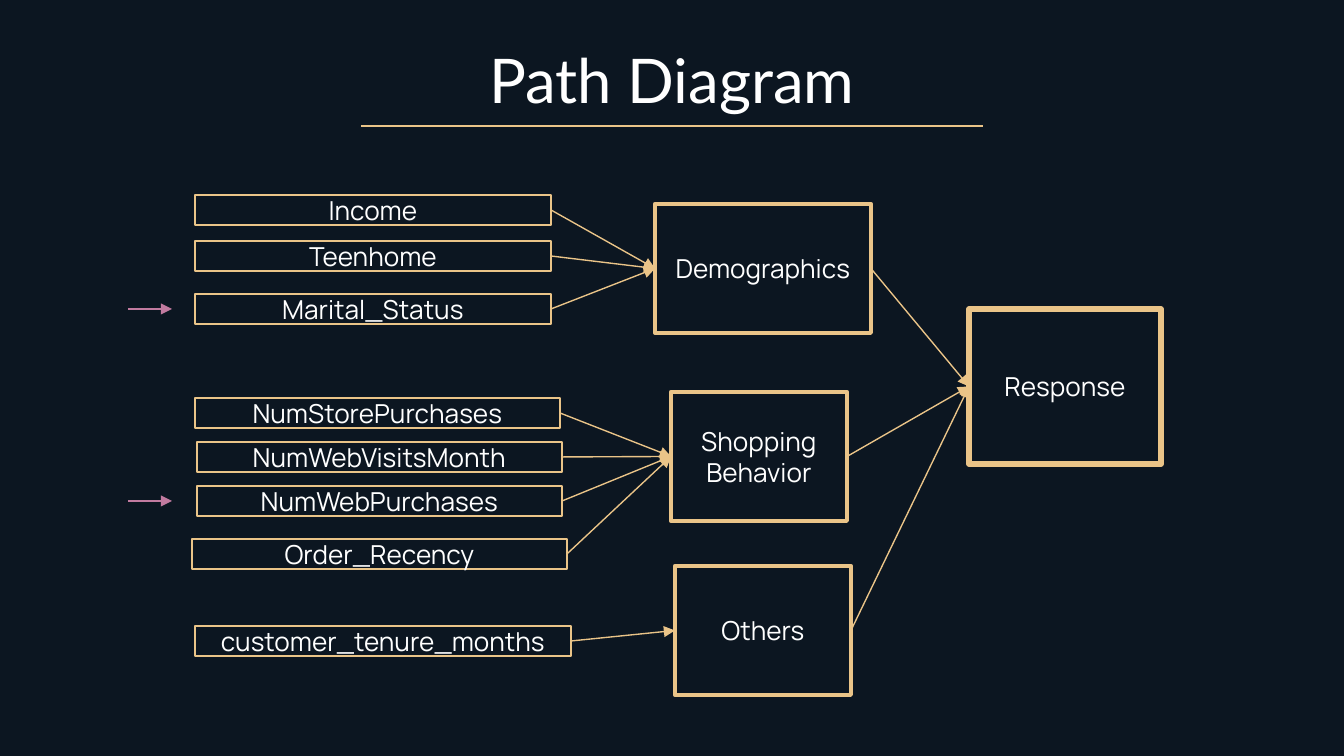
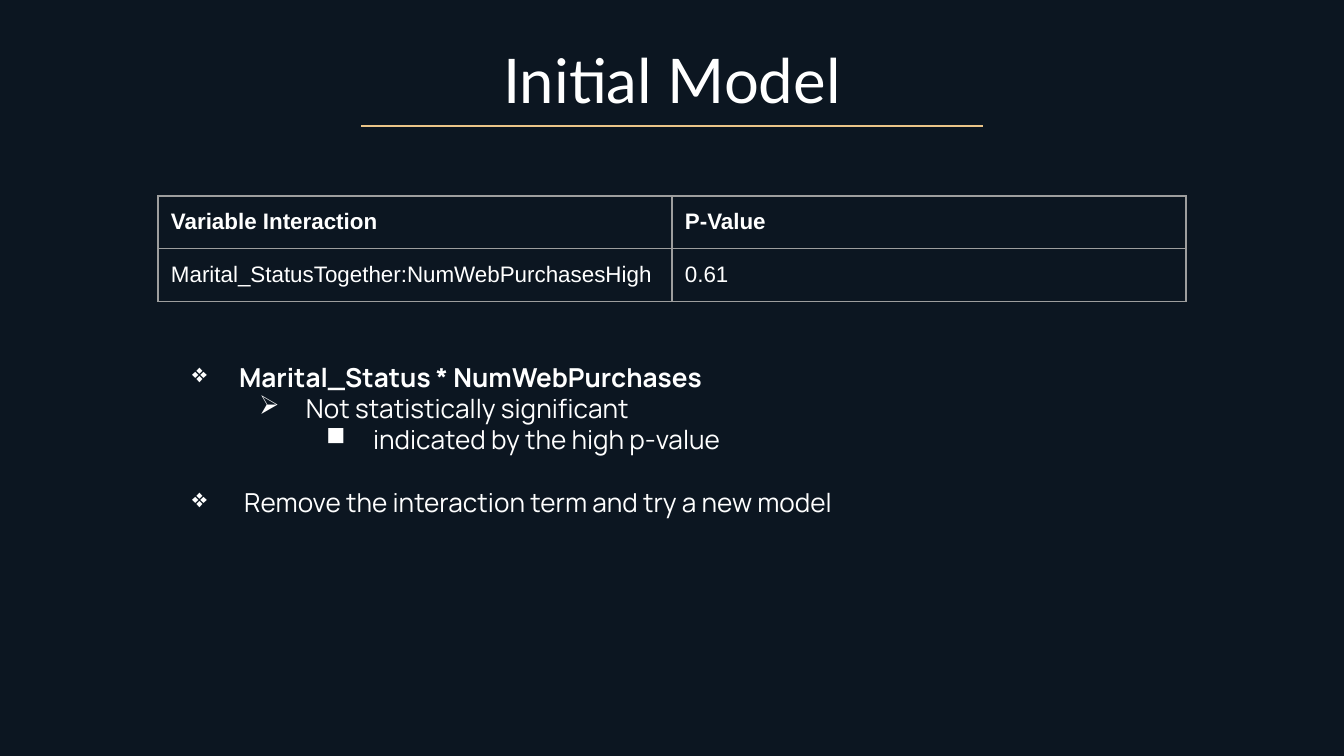
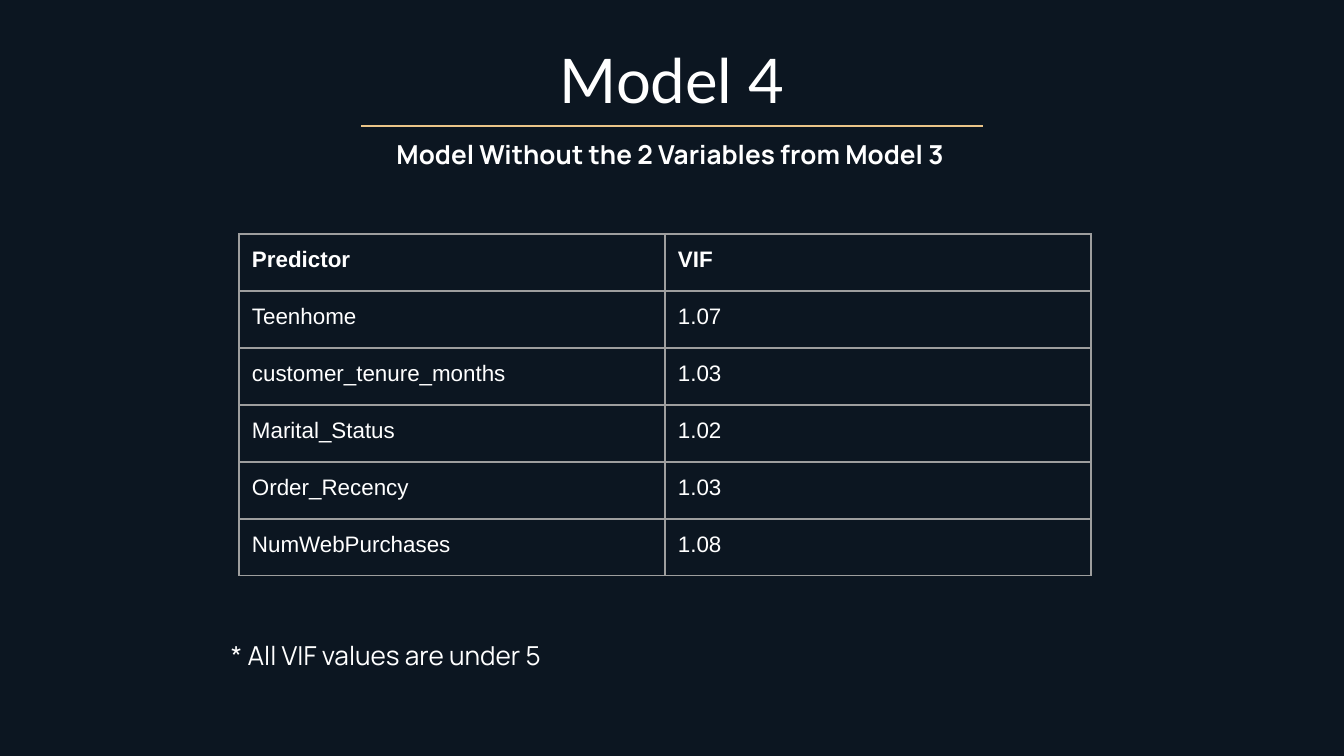
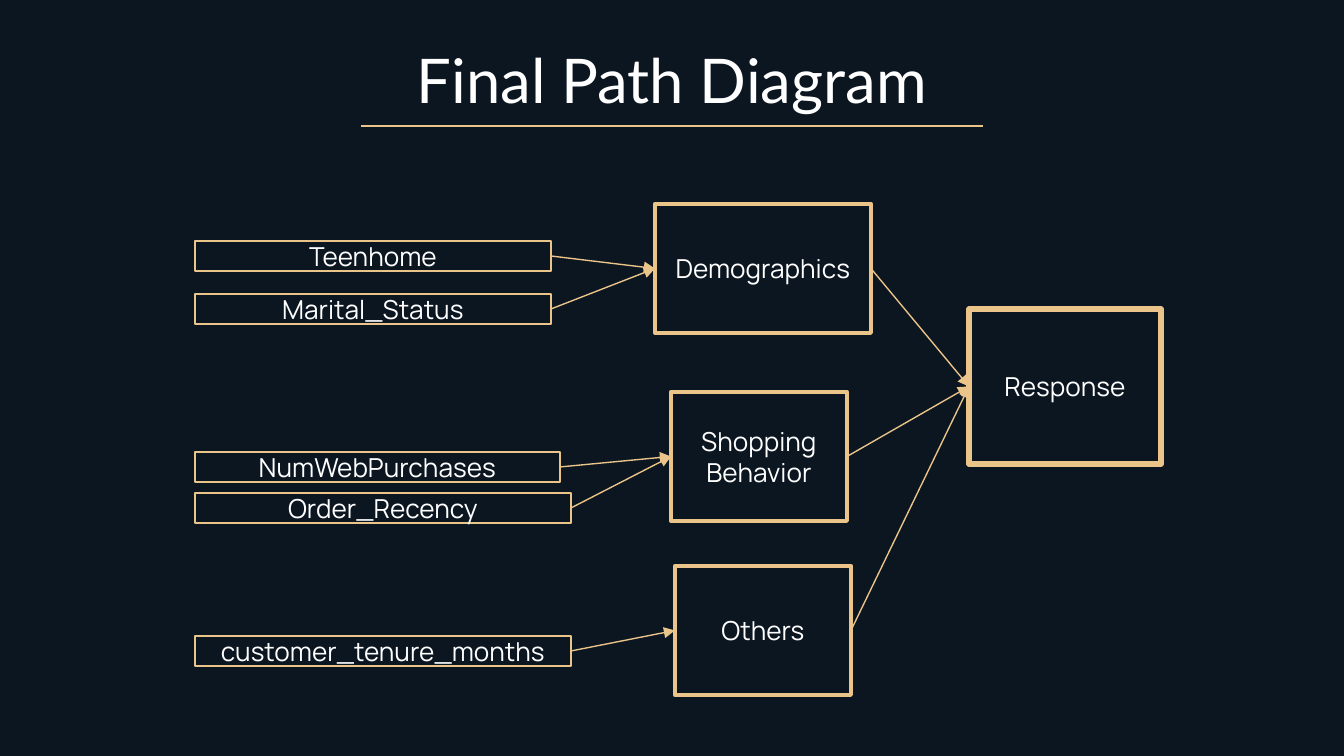
from dataclasses import dataclass
from typing import NamedTuple

from lxml import etree
from pptx import Presentation
from pptx import util as u
from pptx.dml.color import RGBColor
from pptx.enum import shapes, text
from pptx.oxml.ns import qn

EMU_PER_PX = 9144000 / 1344


@dataclass(frozen=True)
class Theme:
    back: RGBColor = RGBColor.from_string("0C1621")
    ink: RGBColor = RGBColor.from_string("FFFFFF")
    gold: RGBColor = RGBColor.from_string("EAC488")
    pink: RGBColor = RGBColor.from_string("C27BA0")
    grid: RGBColor = RGBColor.from_string("9E9E9E")
    title_font: str = "Lato"
    body_font: str = "Manrope"
    table_font: str = "Arial"
    title_size: int = 33
    body_size: int = 14
    table_size: int = 12
    thin: float = 0.75
    medium: float = 2.25
    thick: float = 3


class Area(NamedTuple):
    left: int
    top: int
    width: int
    height: int


class Factor(NamedTuple):
    label: str
    left: int
    top: int
    width: int
    flagged: bool = False


class Group(NamedTuple):
    label: str
    area: Area
    factors: list[Factor]


class Bullet(NamedTuple):
    label: str
    level: int = 0
    bold: bool = False
    gap: float = 0


class Grid(NamedTuple):
    left: int
    top: int
    column: int
    row: int
    rows: list[tuple[str, str]]


THEME = Theme()
INSET = 13
FACTOR_HEIGHT = 30
FLAG_LEFT, FLAG_RIGHT = 128, 172
INDENT, HANGING = 67, 47
BULLET_SIGNS = "❖➢■"
LEFT_SITE, RIGHT_SITE = 1, 3

TITLE = Area(105, 44, 1134, 70)
RULE = Area(361, 126, 622, 0)
RESPONSE = Area(969, 309, 192, 155)
DEMOGRAPHICS = Area(655, 204, 216, 129)
SHOPPING = Area(671, 392, 176, 129)
OTHERS = Area(675, 566, 176, 129)

TEENHOME = Factor("Teenhome", 195, 241, 356)
FIRST_GROUPS = [
    Group("Demographics", DEMOGRAPHICS, [
        Factor("Income", 195, 195, 356),
        TEENHOME,
        Factor("Marital_Status", 195, 294, 356, flagged=True),
    ]),
    Group("Shopping Behavior", SHOPPING, [
        Factor("NumStorePurchases", 195, 398, 365),
        Factor("NumWebVisitsMonth", 197, 442, 365),
        Factor("NumWebPurchases", 197, 486, 365, flagged=True),
        Factor("Order_Recency", 192, 539, 375),
    ]),
    Group("Others", OTHERS, [Factor("customer_tenure_months", 195, 626, 376)]),
]
FINAL_GROUPS = [
    Group("Demographics", DEMOGRAPHICS, [
        TEENHOME,
        Factor("Marital_Status", 195, 294, 356),
    ]),
    Group("Shopping Behavior", SHOPPING, [
        Factor("NumWebPurchases", 195, 452, 365),
        Factor("Order_Recency", 195, 493, 376),
    ]),
    Group("Others", OTHERS, [Factor("customer_tenure_months", 195, 636, 376)]),
]

INTERACTION_GRID = Grid(158, 196, 514, 52, [
    ("Variable Interaction", "P-Value"),
    ("Marital_StatusTogether:NumWebPurchasesHigh", "0.61"),
])
VIF_GRID = Grid(239, 234, 426, 57, [
    ("Predictor", "VIF"),
    ("Teenhome", "1.07"),
    ("customer_tenure_months", "1.03"),
    ("Marital_Status", "1.02"),
    ("Order_Recency", "1.03"),
    ("NumWebPurchases", "1.08"),
])
FINDINGS = [
    Bullet("Marital_Status * NumWebPurchases", bold=True),
    Bullet("Not statistically significant", level=1),
    Bullet("indicated by the high p-value", level=2),
    Bullet(" Remove the interaction term and try a new model", gap=16.6),
]


def px(length: int) -> u.Emu:
    return u.Emu(round(length * EMU_PER_PX))


def place(area: Area) -> list[u.Emu]:
    return [px(length) for length in area]


def set_margins(holder) -> None:
    holder.margin_left = holder.margin_right = px(INSET)
    holder.margin_top = holder.margin_bottom = px(INSET)


def write(para, label: str, font: str = THEME.body_font,
          size: int = THEME.body_size, bold: bool = False,
          centred: bool = False) -> None:
    para.add_run().text = label
    para.font.name = font
    para.font.size = u.Pt(size)
    para.font.bold = bold
    para.font.color.rgb = THEME.ink
    para.alignment = text.PP_ALIGN.CENTER if centred else text.PP_ALIGN.LEFT


def prepare_frame(box, anchor=text.MSO_ANCHOR.TOP):
    frame = box.text_frame
    frame.word_wrap = True
    frame.vertical_anchor = anchor
    set_margins(frame)
    return frame


def add_label(page, area: Area, label: str, anchor=text.MSO_ANCHOR.TOP,
              **style) -> None:
    frame = prepare_frame(page.shapes.add_textbox(*place(area)), anchor)
    write(frame.paragraphs[0], label, **style)


def add_box(page, area: Area, label: str, weight: float):
    box = page.shapes.add_shape(shapes.MSO_SHAPE.RECTANGLE, *place(area))
    box.shadow.inherit = False
    box.fill.background()
    box.line.color.rgb = THEME.gold
    box.line.width = u.Pt(weight)
    frame = prepare_frame(box, text.MSO_ANCHOR.MIDDLE)
    write(frame.paragraphs[0], label, centred=True)
    return box


def add_line(page, left: int, right: int, y: int,
             colour: RGBColor = THEME.gold, arrow: bool = False):
    line = page.shapes.add_connector(
        shapes.MSO_CONNECTOR.STRAIGHT, px(left), px(y), px(right), px(y))
    line.line.color.rgb = colour
    line.line.width = u.Pt(THEME.thin)
    properties = line.element.spPr
    if arrow:
        stroke = properties.find(qn("a:ln"))
        etree.SubElement(stroke, qn("a:tailEnd"), type="triangle")
    etree.SubElement(properties, qn("a:effectLst"))
    return line


def link(page, source, target) -> None:
    line = add_line(page, 0, 0, 0, arrow=True)
    line.begin_connect(source, RIGHT_SITE)
    line.end_connect(target, LEFT_SITE)


def add_diagram(page, groups: list[Group]) -> None:
    response = add_box(page, RESPONSE, "Response", THEME.thick)
    for group in groups:
        group_box = add_box(page, group.area, group.label, THEME.medium)
        link(page, group_box, response)
        for factor in group.factors:
            area = Area(factor.left, factor.top, factor.width, FACTOR_HEIGHT)
            link(page, add_box(page, area, factor.label, THEME.thin), group_box)
            if factor.flagged:
                middle = factor.top + FACTOR_HEIGHT // 2
                add_line(page, FLAG_LEFT, FLAG_RIGHT, middle, THEME.pink, True)


def add_bullets(page, area: Area, bullets: list[Bullet]) -> None:
    frame = prepare_frame(page.shapes.add_textbox(*place(area)))
    for index, bullet in enumerate(bullets):
        para = frame.add_paragraph() if index else frame.paragraphs[0]
        write(para, bullet.label, bold=bullet.bold)
        para.level = bullet.level
        para.space_before = u.Pt(bullet.gap)
        properties = para._p.get_or_add_pPr()
        properties.set("marL", str(px(INDENT * (bullet.level + 1))))
        properties.set("indent", str(-px(HANGING)))
        colour = etree.SubElement(properties, qn("a:buClr"))
        etree.SubElement(colour, qn("a:srgbClr"), val=str(THEME.ink))
        etree.SubElement(properties, qn("a:buChar"),
                         char=BULLET_SIGNS[bullet.level])
        for tag in ("a:buClr", "a:buChar", "a:defRPr"):
            properties.append(properties.find(qn(tag)))


def outline_cell(cell) -> None:
    properties = cell._tc.get_or_add_tcPr()
    for side in ("lnL", "lnR", "lnT", "lnB"):
        border = etree.SubElement(properties, qn(f"a:{side}"),
                                  w=str(u.Pt(THEME.thin)))
        fill = etree.SubElement(border, qn("a:solidFill"))
        etree.SubElement(fill, qn("a:srgbClr"), val=str(THEME.grid))


def add_grid(page, grid: Grid) -> None:
    row_count, column_count = len(grid.rows), len(grid.rows[0])
    area = Area(grid.left, grid.top,
                grid.column * column_count, grid.row * row_count)
    table = page.shapes.add_table(row_count, column_count, *place(area)).table
    table.horz_banding = False
    table.first_row = False
    for row_index, row in enumerate(grid.rows):
        for column_index, label in enumerate(row):
            cell = table.cell(row_index, column_index)
            set_margins(cell)
            outline_cell(cell)
            cell.fill.background()
            write(cell.text_frame.paragraphs[0], label, THEME.table_font,
                  THEME.table_size, bold=row_index == 0)


def add_page(deck, title: str):
    page = deck.slides.add_slide(deck.slide_layouts[6])
    page.background.fill.solid()
    page.background.fill.fore_color.rgb = THEME.back
    add_line(page, RULE.left, RULE.left + RULE.width, RULE.top)
    add_label(page, TITLE, title, text.MSO_ANCHOR.MIDDLE,
              font=THEME.title_font, size=THEME.title_size, centred=True)
    return page


def main() -> None:
    deck = Presentation()
    deck.slide_width, deck.slide_height = px(1344), px(756)

    add_diagram(add_page(deck, "Path Diagram"), FIRST_GROUPS)

    initial = add_page(deck, "Initial Model")
    add_bullets(initial, Area(159, 348, 778, 341), FINDINGS)
    add_grid(initial, INTERACTION_GRID)

    fourth = add_page(deck, "Model 4")
    add_label(fourth, Area(284, 125, 778, 341),
              "Model Without the 2 Variables from Model 3 ",
              bold=True, centred=True)
    add_grid(fourth, VIF_GRID)
    add_label(fourth, Area(218, 626, 874, 70), "* All VIF values are under 5")

    add_diagram(add_page(deck, "Final Path Diagram"), FINAL_GROUPS)

    deck.save("out.pptx")


if __name__ == "__main__":
    main()
